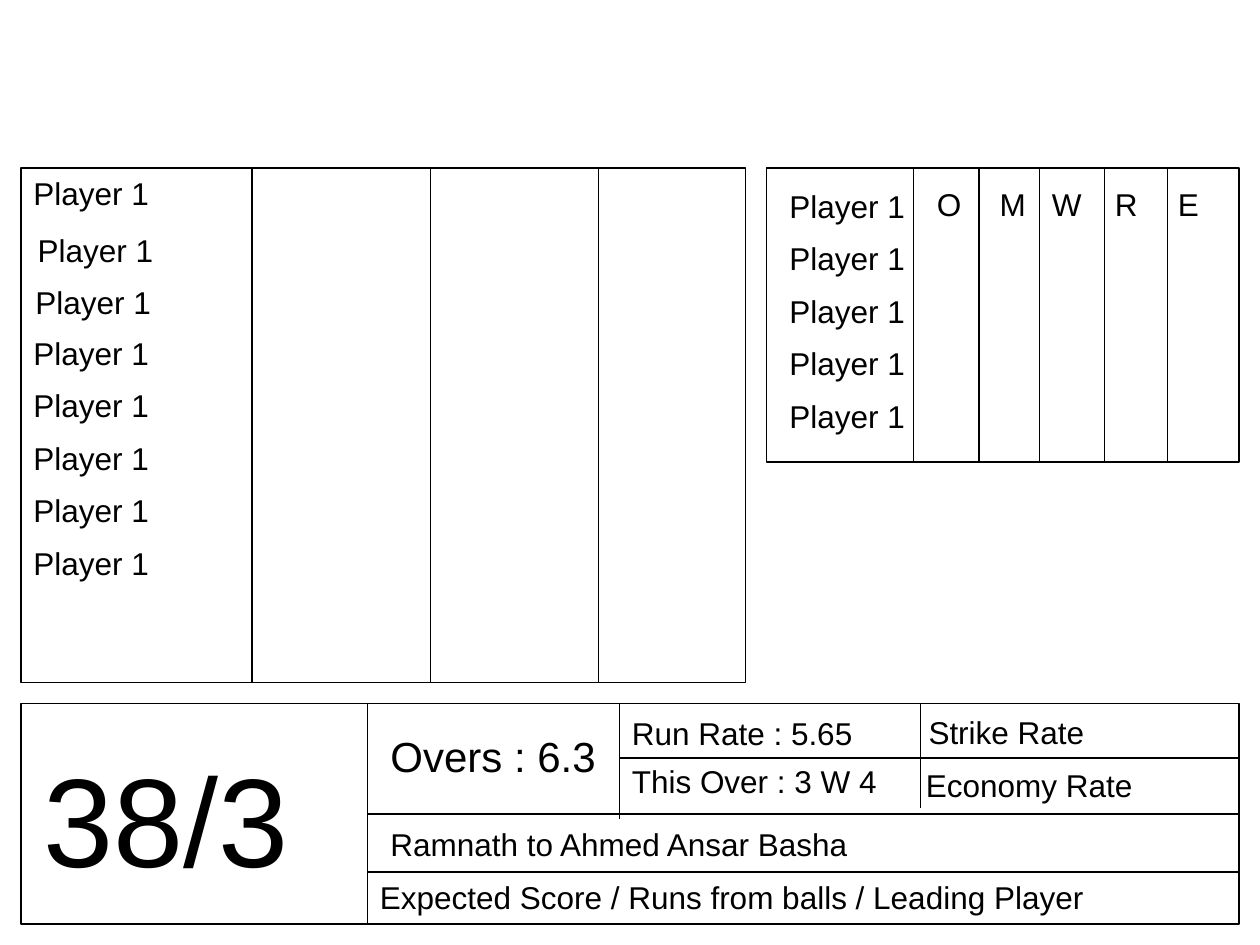
from dataclasses import dataclass

from lxml import etree
from pptx import Presentation
from pptx.dml.color import RGBColor
from pptx.enum import shapes, text
from pptx.oxml import ns
from pptx.util import Pt

BLACK = RGBColor(0x00, 0x00, 0x00)
WHITE = RGBColor(0xFF, 0xFF, 0xFF)
FONT = "Arial"
LINE_WIDTH = 0.75
ROW_PITCH = 30
LABEL_HEIGHT = 28.8
PLAYER_WIDTH = 81


@dataclass
class Panel:
    left: float
    top: float
    width: float
    height: float

    @property
    def right(self) -> float:
        return self.left + self.width

    @property
    def bottom(self) -> float:
        return self.top + self.height


@dataclass
class Rule:
    x1: float
    y1: float
    x2: float
    y2: float


@dataclass
class Label:
    words: str
    left: float
    top: float
    width: float
    height: float = LABEL_HEIGHT
    size: float = 18
    space_before: float = 0
    wrap: bool = False


def draw_panel(slide, panel: Panel) -> None:
    shape = slide.shapes.add_shape(
        shapes.MSO_SHAPE.RECTANGLE,
        Pt(panel.left), Pt(panel.top), Pt(panel.width), Pt(panel.height))
    shape.shadow.inherit = False
    shape.fill.solid()
    shape.fill.fore_color.rgb = WHITE
    shape.line.color.rgb = BLACK
    shape.line.width = Pt(LINE_WIDTH)


def draw_rule(slide, rule: Rule) -> None:
    connector = slide.shapes.add_connector(
        shapes.MSO_CONNECTOR.STRAIGHT,
        Pt(rule.x1), Pt(rule.y1), Pt(rule.x2), Pt(rule.y2))
    connector.line.color.rgb = BLACK
    connector.line.width = Pt(LINE_WIDTH)
    etree.SubElement(connector._element.spPr, ns.qn("a:effectLst"))


def draw_label(slide, label: Label) -> None:
    shape = slide.shapes.add_textbox(
        Pt(label.left), Pt(label.top), Pt(label.width), Pt(label.height))
    frame = shape.text_frame
    frame.word_wrap = label.wrap
    frame.auto_size = text.MSO_AUTO_SIZE.SHAPE_TO_FIT_TEXT
    paragraph = frame.paragraphs[0]
    paragraph.space_before = Pt(label.space_before)
    run = paragraph.add_run()
    run.text = label.words
    run.font.name = FONT
    run.font.size = Pt(label.size)
    run.font.color.rgb = BLACK


def column_rules(panel: Panel, positions: list[float]) -> list[Rule]:
    return [Rule(x, panel.top, x, panel.bottom) for x in positions]


def player_rows(left: float, top: float, count: int) -> list[Label]:
    return [Label("Player 1", left, top + row * ROW_PITCH, PLAYER_WIDTH)
            for row in range(count)]


def draw_section(slide, panel: Panel, rules: list[Rule], labels: list[Label]) -> None:
    draw_panel(slide, panel)
    for rule in rules:
        draw_rule(slide, rule)
    for label in labels:
        draw_label(slide, label)


def draw_scoreboard(slide) -> None:
    panel = Panel(12, 402, 696, 126)
    score_edge, overs_edge, rate_edge = 210, 354, 526
    rules = column_rules(panel, [score_edge]) + [
        Rule(score_edge, 465.2, panel.right, 465.2),
        Rule(overs_edge, panel.top, overs_edge, 468),
        Rule(overs_edge, 433.2, panel.right, 433.2),
        Rule(score_edge, 498.3, panel.right, 498.3),
        Rule(rate_edge, panel.top, rate_edge, 462),
    ]
    labels = [
        Label("38/3", 18, 420, 180, 93.6, size=72, space_before=45, wrap=True),
        Label("Overs : 6.3", 216, 414, 132, 36, size=24, space_before=15, wrap=True),
        Label("This Over : 3 W 4", overs_edge, 432, 155),
        Label("Run Rate : 5.65", overs_edge, 404.3, 141),
        Label("Ramnath to Ahmed Ansar Basha", 216, 468, 278),
        Label("Expected Score / Runs from balls / Leading Player", score_edge, 498, 418),
        Label("Strike Rate", 523.5, 403.8, 104),
        Label("Economy Rate", 522, 434, 133),
    ]
    draw_section(slide, panel, rules, labels)


def draw_batting(slide) -> None:
    panel = Panel(12, 96, 414, 294)
    labels = [
        *player_rows(12, 96, 1),
        *player_rows(14.4, 128.3, 1),
        *player_rows(13.2, 158, 1),
        *player_rows(12, 187.3, 5),
    ]
    draw_section(slide, panel, column_rules(panel, [144, 246, 342]), labels)


def draw_bowling(slide) -> None:
    panel = Panel(438, 96, 270, 168)
    headings = [("O", 528.2, 28.5), ("M", 564.2, 30), ("W", 594, 31.5),
                ("R", 630, 28), ("E", 666, 26.5)]
    labels = player_rows(444, 103.3, 5) + [
        Label(words, left, 102, width) for words, left, width in headings]
    rules = column_rules(panel, [522, 559.5, 594, 631.2, 667.2])
    draw_section(slide, panel, rules, labels)


def main() -> None:
    presentation = Presentation()
    presentation.slide_width = Pt(720)
    presentation.slide_height = Pt(540)
    slide = presentation.slides.add_slide(presentation.slide_layouts[6])
    draw_scoreboard(slide)
    draw_batting(slide)
    draw_bowling(slide)
    presentation.save("out.pptx")


if __name__ == "__main__":
    main()
